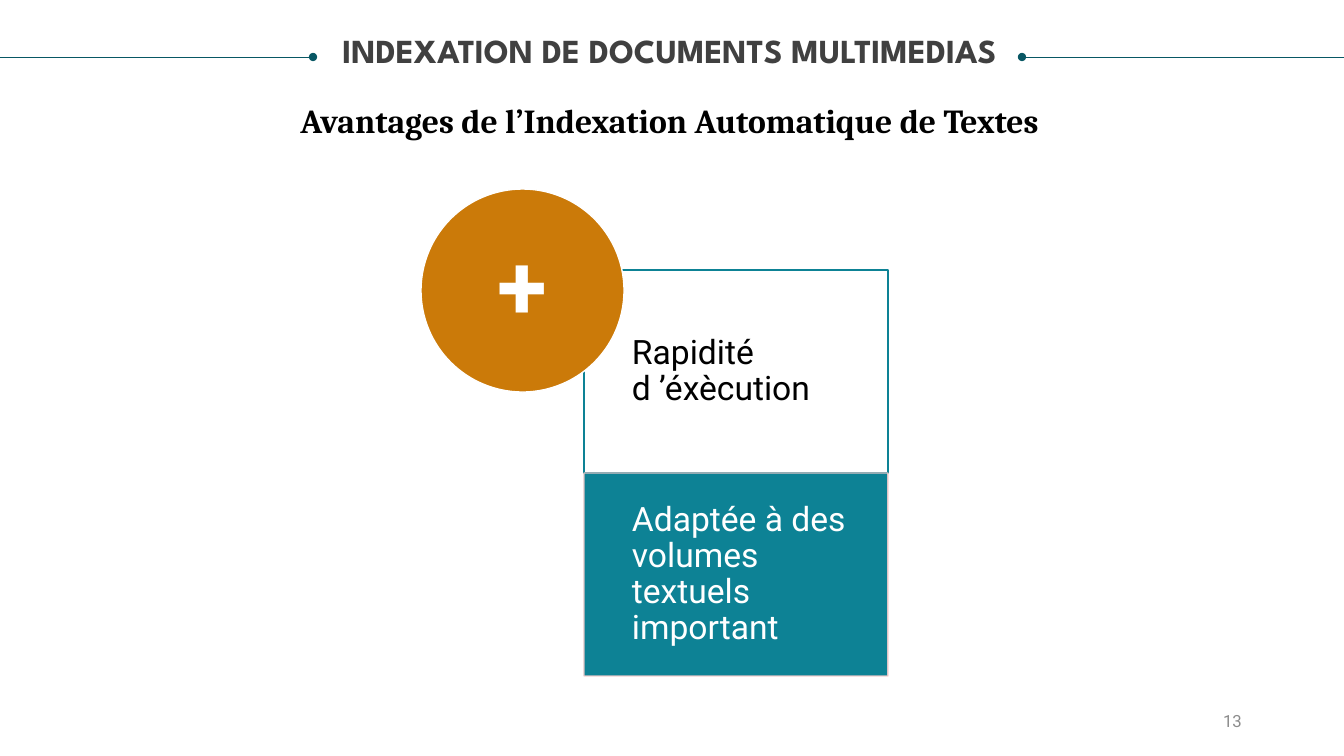
"""Build the slide on the advantages of automatic text indexing."""
from lxml import etree
from pptx import Presentation, util as u
from pptx.dml.color import RGBColor
from pptx.enum import shapes, text
from pptx.oxml.ns import qn

SCALE = 914400 / 100.8
WIDTH, HEIGHT = 1344, 756
TEAL, DARK_TEAL, ORANGE, WHITE = "0D8295", "085764", "CB7A09", "FFFFFF"
LEFT, CENTER, RIGHT = text.PP_ALIGN.LEFT, text.PP_ALIGN.CENTER, text.PP_ALIGN.RIGHT
TOP, MIDDLE = text.MSO_ANCHOR.TOP, text.MSO_ANCHOR.MIDDLE
GROW, FIXED = text.MSO_AUTO_SIZE.SHAPE_TO_FIT_TEXT, text.MSO_AUTO_SIZE.NONE

TITLE = "INDEXATION DE DOCUMENTS MULTIMEDIAS"
SUBTITLE = "Avantages de l’Indexation Automatique de Textes"
PAGE_NUMBER = "13"
SIGN = "+"
ADVANTAGES = [
    {"words": "Rapidité d\u00a0’éxècution", "color": "000000",
     "fill": None, "line": TEAL, "weight": 1.5, "opacity": 100},
    {"words": "Adaptée à des volumes textuels important", "color": WHITE,
     "fill": TEAL, "line": "F4CCCC", "weight": 1, "opacity": 90},
]
RULE_Y = 57
RULES = [(1022, WIDTH, "headEnd"), (0, 313, "tailEnd")]
CARD_LEFT, CARD_TOP, CARD_WIDTH, CARD_HEIGHT = 584, 270, 304, 203
TEXT_INDENT = 48
DISC = (421, 189, 203, 203)
DISC_INSET = 30


def px(value):
    return u.Emu(round(value * SCALE))


def rgb(code):
    return RGBColor.from_string(code)


def assign(target, values):
    for name, value in values.items():
        setattr(target, name, value)


def write(box, words, size, font, color, bold=False, align=LEFT, anchor=TOP,
          fit=FIXED, insets=(10, 5, 10, 5), spacing=1.0):
    frame = box.text_frame
    sides = ("margin_left", "margin_top", "margin_right", "margin_bottom")
    assign(frame, {"word_wrap": True, "auto_size": fit, "vertical_anchor": anchor,
                   **dict(zip(sides, map(px, insets)))})
    para = frame.paragraphs[0]
    assign(para, {"alignment": align, "line_spacing": spacing})
    span = para.add_run()
    span.text = words
    assign(span.font, {"size": u.Pt(size), "name": font, "bold": bold})
    span.font.color.rgb = rgb(color)


def add_text(page, place, words, **style):
    write(page.shapes.add_textbox(*map(px, place)), words, **style)


def add_panel(page, kind, place, fill, line, weight, opacity=100):
    panel = page.shapes.add_shape(kind, *map(px, place))
    panel.shadow.inherit = False
    if fill:
        panel.fill.solid()
        panel.fill.fore_color.rgb = rgb(fill)
    else:
        panel.fill.background()
    panel.line.color.rgb = rgb(line)
    panel.line.width = u.Pt(weight)
    if opacity < 100:
        tint = panel.line._get_or_add_ln().find(".//" + qn("a:srgbClr"))
        etree.SubElement(tint, qn("a:alpha"), val=str(opacity * 1000))


def add_rule(page, start, end, dotted_end):
    rule = page.shapes.add_connector(shapes.MSO_CONNECTOR.STRAIGHT,
                                     *map(px, (start, RULE_Y, end, RULE_Y)))
    rule.line.color.rgb = rgb(DARK_TEAL)
    rule.line.width = u.Pt(0.5)
    etree.SubElement(rule.line._get_or_add_ln(), qn("a:" + dotted_end), type="oval")
    etree.SubElement(rule._element.spPr, qn("a:effectLst"))


deck = Presentation()
assign(deck, {"slide_width": px(WIDTH), "slide_height": px(HEIGHT)})
page = deck.slides.add_slide(deck.slide_layouts[5])

heading = page.shapes.title
assign(heading, dict(zip(("left", "top", "width", "height"), map(px, (23, 34, 1293, 36)))))
write(heading, TITLE, 24, "League Spartan", "404040", bold=True, align=CENTER,
      fit=GROW, insets=(0, 0, 0, 0), spacing=0.9)
for rule in RULES:
    add_rule(page, *rule)
add_text(page, (219, 95, 901, 50), SUBTITLE, size=24, font="Cambria", color="000000",
         bold=True, align=CENTER, fit=GROW)
add_text(page, (950, 701, 302, 40), PAGE_NUMBER, size=12, font="Roboto", color="8C8C8C",
         align=RIGHT, anchor=MIDDLE)

for row, card in enumerate(ADVANTAGES):
    top = CARD_TOP + row * CARD_HEIGHT
    add_panel(page, shapes.MSO_SHAPE.RECTANGLE, (CARD_LEFT, top, CARD_WIDTH, CARD_HEIGHT),
              card["fill"], card["line"], card["weight"], card["opacity"])
    add_text(page, (CARD_LEFT + TEXT_INDENT, top, CARD_WIDTH - TEXT_INDENT, CARD_HEIGHT),
             card["words"], size=24, font="Roboto", color=card["color"], anchor=MIDDLE,
             insets=(0, 19, 19, 19), spacing=0.9)

add_panel(page, shapes.MSO_SHAPE.OVAL, DISC, ORANGE, WHITE, 1)
left, top, width, height = DISC
add_text(page, (left + DISC_INSET, top + DISC_INSET,
                width - 2 * DISC_INSET, height - 2 * DISC_INSET),
         SIGN, size=65, font="Roboto", color=WHITE, bold=True, align=CENTER,
         anchor=MIDDLE, insets=(0, 0, 0, 0), spacing=0.9)

deck.save("out.pptx")
